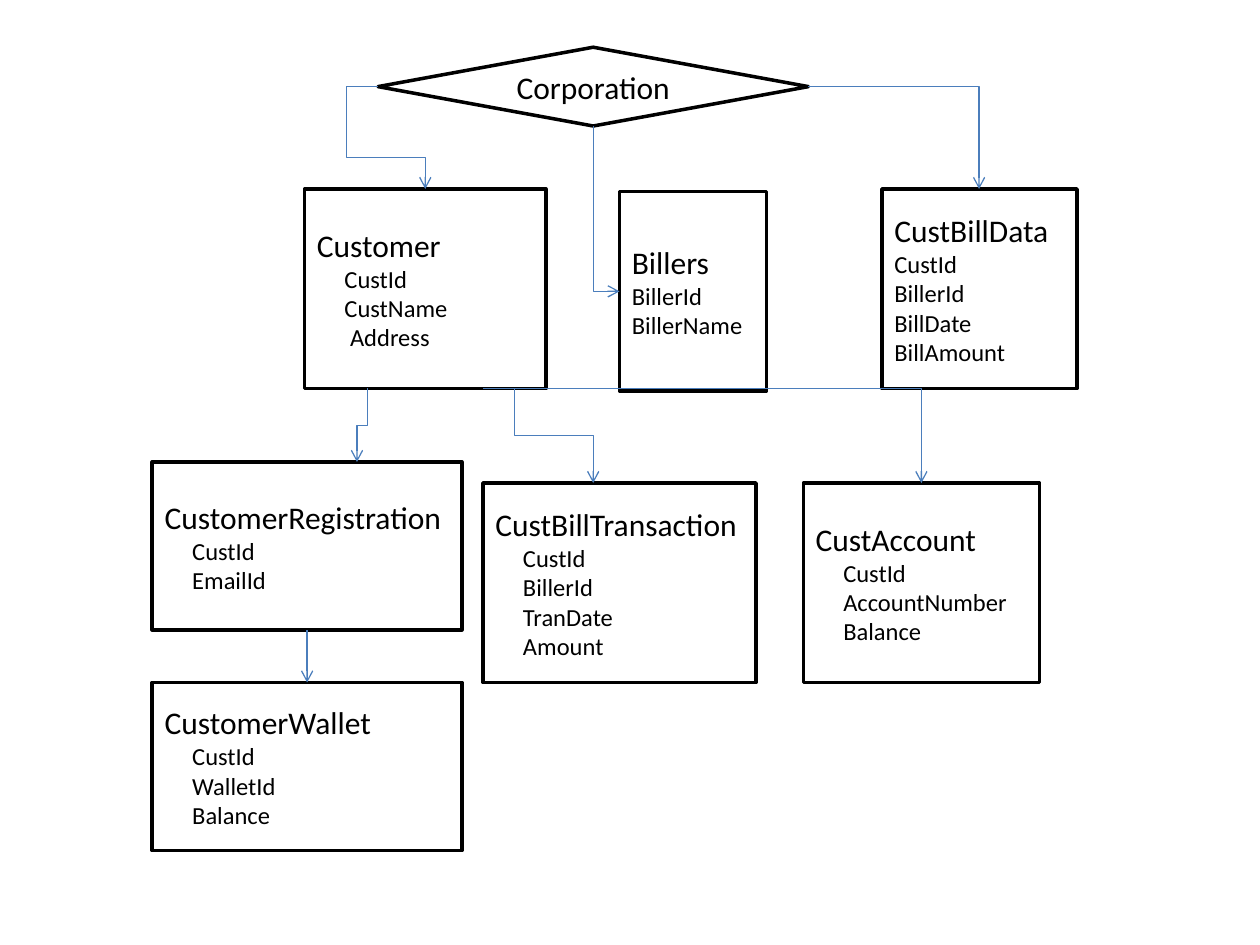
from dataclasses import dataclass

from lxml import etree
from pptx import Presentation
from pptx.dml.color import RGBColor
from pptx.enum.shapes import MSO_CONNECTOR, MSO_SHAPE
from pptx.enum.text import MSO_ANCHOR, PP_ALIGN
from pptx.oxml.ns import qn
from pptx.util import Pt

RECT = MSO_SHAPE.RECTANGLE
DIAMOND = MSO_SHAPE.FLOWCHART_DECISION
STRAIGHT, ELBOW = MSO_CONNECTOR.STRAIGHT, MSO_CONNECTOR.ELBOW
LEFT, CENTER = PP_ALIGN.LEFT, PP_ALIGN.CENTER
MIDDLE = MSO_ANCHOR.MIDDLE


@dataclass(frozen=True)
class Theme:
    font: str = "Calibri"
    title_size: float = 18
    field_size: float = 14
    ink: RGBColor = RGBColor(0, 0, 0)
    paper: RGBColor = RGBColor(255, 255, 255)
    link: RGBColor = RGBColor(0x4B, 0x7E, 0xBC)
    border: float = 2
    link_width: float = 0.75


@dataclass(frozen=True)
class Entity:
    title: str
    x: float
    y: float
    w: float
    h: float
    fields: tuple = ()
    indents: tuple = ()
    shape: MSO_SHAPE = RECT
    align: PP_ALIGN = LEFT


@dataclass(frozen=True)
class Link:
    start: tuple
    end: tuple
    preset: str = "line"
    vertical: bool = False
    adjustments: tuple = ()


THEME = Theme()
STEP = 15.75
ROW_1, ROW_2 = 108, 276
TALL, SHORT = 114, 96

ENTITIES = (
    Entity("Corporation", 216, 27, 246, 45, shape=DIAMOND, align=CENTER),
    Entity("Customer", 174, ROW_1, 138, TALL,
           ("CustId", "CustName", "Address"), (STEP, STEP, 19)),
    Entity("Billers", 354, 109.5, 84, TALL,
           ("BillerId", "BillerName"), (0,) * 2),
    Entity("CustBillTransaction", 276, ROW_2, 156, TALL,
           ("CustId", "BillerId", "TranDate", "Amount"), (STEP,) * 4),
    Entity("CustomerRegistration", 87, 264, 177, SHORT,
           ("CustId", "EmailId"), (STEP,) * 2),
    Entity("CustAccount", 459, ROW_2, 135, TALL,
           ("CustId", "AccountNumber", "Balance"), (STEP,) * 3),
    Entity("CustBillData", 504, ROW_1, 111.5, TALL,
           ("CustId", "BillerId", "BillDate", "BillAmount"), (0,) * 4),
    Entity("CustomerWallet", 87, 390, 177, SHORT,
           ("CustId", "WalletId", "Balance"), (STEP,) * 3),
)

LINKS = (
    Link((216, 49.5), (243, 108), "bentConnector4", adjustments=(-66667, 69200)),
    Link((339, 72), (354, 166.5), "bentConnector2", vertical=True),
    Link((462, 49.5), (559.5, 108), "bentConnector2"),
    Link((210, 222), (204, 264), "bentConnector3", True, (50000,)),
    Link((294, 222), (339, 276), "bentConnector3", True, (50000,)),
    Link((276, 222), (526.5, 276), "bentConnector2"),
    Link((175.5, 360), (175.5, 390)),
)


def add_line(tf, index: int, text: str, size: float, align, indent: float = 0) -> None:
    p = tf.add_paragraph() if index else tf.paragraphs[0]
    p.text = text
    p.alignment = align
    p.font.name = THEME.font
    p.font.size = Pt(size)
    p.font.color.rgb = THEME.ink
    if indent:
        p._p.get_or_add_pPr().set("marL", str(Pt(indent)))


def add_entity(s, entity: Entity) -> None:
    sp = s.shapes.add_shape(entity.shape, Pt(entity.x), Pt(entity.y),
                            Pt(entity.w), Pt(entity.h))
    sp.shadow.inherit = False
    sp.fill.solid()
    sp.fill.fore_color.rgb = THEME.paper
    sp.line.color.rgb = THEME.ink
    sp.line.width = Pt(THEME.border)
    tf = sp.text_frame
    tf.word_wrap = True
    tf.vertical_anchor = MIDDLE
    add_line(tf, 0, entity.title, THEME.title_size, entity.align)
    for i, (field, indent) in enumerate(zip(entity.fields, entity.indents), 1):
        add_line(tf, i, field, THEME.field_size, entity.align, indent)


def add_link(s, link: Link) -> None:
    (x1, y1), (x2, y2) = link.start, link.end
    turn = 0
    if link.vertical:
        turn = 90 if x2 < x1 else 270
        cx, cy = (x1 + x2) / 2, (y1 + y2) / 2
        half_w, half_h = (y2 - y1) / 2, abs(x2 - x1) / 2
        side = 1 if turn == 90 else -1
        x1, x2 = cx - side * half_w, cx + side * half_w
        y1, y2 = cy - half_h, cy + half_h
    kind = STRAIGHT if link.preset == "line" else ELBOW
    c = s.shapes.add_connector(kind, Pt(x1), Pt(y1), Pt(x2), Pt(y2))
    c.line.color.rgb = THEME.link
    c.line.width = Pt(THEME.link_width)
    sp_pr = c._element.spPr
    if turn:
        sp_pr.find(qn("a:xfrm")).set("rot", str(turn * 60000))
    geom = sp_pr.find(qn("a:prstGeom"))
    geom.set("prst", link.preset)
    guides = geom.find(qn("a:avLst"))
    for i, value in enumerate(link.adjustments, 1):
        etree.SubElement(guides, qn("a:gd"), name=f"adj{i}", fmla=f"val {value}")
    etree.SubElement(sp_pr.find(qn("a:ln")), qn("a:tailEnd"), type="arrow")
    etree.SubElement(sp_pr, qn("a:effectLst"))


def main() -> None:
    prs = Presentation()
    prs.slide_width, prs.slide_height = Pt(720), Pt(540)
    s = prs.slides.add_slide(prs.slide_layouts[6])
    for entity in ENTITIES:
        add_entity(s, entity)
    for link in LINKS:
        add_link(s, link)
    prs.save("out.pptx")


if __name__ == "__main__":
    main()
